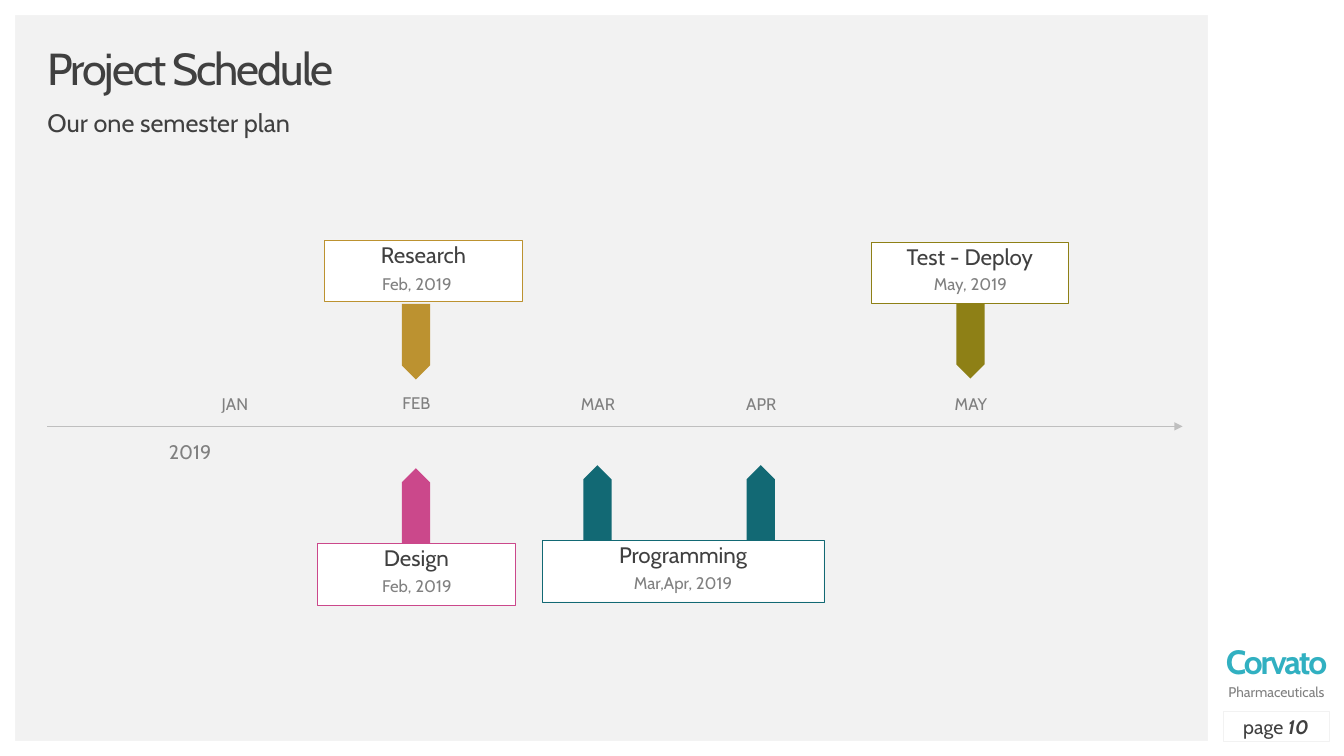
from dataclasses import dataclass

from lxml import etree
from pptx import Presentation
from pptx import util as u
from pptx.dml.color import RGBColor
from pptx.enum import shapes, text
from pptx.oxml import ns

TITLE = "Project Schedule"
SUBTITLE = "Our one semester plan"
YEAR = "2019"
BRAND = ("Corvato", "Pharmaceuticals")
PAGE_LABEL = ("page ", "10")

MONTHS = {
    "JAN": (233, 393),
    "FEB": (413, 392),
    "MAR": (593, 393),
    "APR": (755, 393),
    "MAY": (963, 393),
}

PHASES = [
    dict(name="Design", date="Feb, 2019", months=["FEB"], color="CB488B",
         box=(315, 539, 196), date_at=(321, 573), arrow_middle=502, turn=270),
    dict(name="Research", date="Feb, 2019", months=["FEB"], color="BC9230",
         box=(322, 238, 196), date_at=(321, 274), arrow_middle=339, turn=90),
    dict(name="Programming", date="Mar,Apr, 2019", months=["MAR", "APR"], color="126974",
         box=(538, 536, 279), date_at=(585, 570), arrow_middle=499, turn=270),
    dict(name="Test - Deploy", date="May, 2019", months=["MAY"], color="8E8016",
         box=(864, 240, 196), date_at=(870, 274), arrow_middle=338, turn=90),
]

WIDTH, HEIGHT = 1333, 750
BORDER, SIDEBAR = 15, 135
MARGIN = 47
AXIS_Y, AXIS_END = 423, 1173
BOX_HEIGHT = 61
ARROW = (75, 28)


@dataclass(frozen=True)
class Theme:
    font: str = "Cabin"
    ground: str = "F2F2F2"
    white: str = "FFFFFF"
    dark: str = "404040"
    gray: str = "808080"
    axis: str = "BFBFBF"
    accent: str = "31B0C1"
    title: int = 32
    brand: int = 24
    subtitle: int = 18
    phase: int = 16
    medium: int = 14
    small: int = 12
    tiny: int = 10
    hairline: float = 0.25


theme = Theme()


def px(length):
    return u.Emu(length * 9144)


def rgb(color):
    return RGBColor.from_string(color)


def add_span(para, words, size, color, bold=False, italic=False, spacing=0):
    span = para.add_run()
    span.text = words
    font = span.font
    font.name, font.size, font.bold, font.italic = theme.font, u.Pt(size), bold, italic
    font.color.rgb = rgb(color)
    if spacing:
        span._r.get_or_add_rPr().set("spc", str(spacing))


def start_para(box, align=text.PP_ALIGN.CENTER, anchor=text.MSO_ANCHOR.TOP, top=0, leading=0.9):
    frame = box.text_frame
    frame.word_wrap = True
    frame.auto_size = text.MSO_AUTO_SIZE.NONE
    frame.vertical_anchor = anchor
    frame.margin_left = frame.margin_right = frame.margin_bottom = 0
    frame.margin_top = px(top)
    para = frame.paragraphs[0]
    para.alignment = align
    para.line_spacing = leading
    para.space_before = u.Pt(0)
    return para


def add_shape(page, kind, area, fill=None, line=None):
    shape = page.shapes.add_shape(kind, *map(px, area))
    shape.shadow.inherit = False
    if fill:
        shape.fill.solid()
        shape.fill.fore_color.rgb = rgb(fill)
    else:
        shape.fill.background()
    if line:
        shape.line.color.rgb = rgb(line)
        shape.line.width = u.Pt(theme.hairline)
    else:
        shape.line.fill.background()
    return shape


def add_label(page, words, area, size, anchor=text.MSO_ANCHOR.TOP):
    box = page.shapes.add_textbox(*map(px, area))
    add_span(start_para(box, anchor=anchor), words, size, theme.gray)


def fill_placeholder(holder, words, area, size, anchor, spacing=0):
    holder.left, holder.top, holder.width, holder.height = map(px, area)
    para = start_para(holder, text.PP_ALIGN.LEFT, anchor)
    properties = para._p.get_or_add_pPr()
    properties.set("marL", "0")
    properties.set("indent", "0")
    etree.SubElement(properties, ns.qn("a:buNone"))
    add_span(para, words, size, theme.dark, spacing=spacing)


def add_frame(page):
    page.background.fill.solid()
    page.background.fill.fore_color.rgb = rgb(theme.ground)
    for area in [
        (0, 0, WIDTH, BORDER),
        (0, 0, BORDER, HEIGHT),
        (WIDTH - SIDEBAR, 0, SIDEBAR, HEIGHT),
        (0, HEIGHT - BORDER, WIDTH, BORDER),
    ]:
        add_shape(page, shapes.MSO_SHAPE.RECTANGLE, area, theme.white)


def add_brand(page):
    box = page.shapes.add_textbox(*map(px, (1207, 656, 118, 39)))
    para = start_para(box, leading=u.Pt(14))
    add_span(para, BRAND[0], theme.brand, theme.accent, bold=True, spacing=-150)
    para.add_line_break()
    add_span(para, BRAND[1], theme.tiny, theme.gray)

    box = add_shape(page, shapes.MSO_SHAPE.RECTANGLE, (1213, 706, 105, 29), line=theme.ground)
    para = start_para(box, anchor=text.MSO_ANCHOR.MIDDLE, leading=1.0)
    add_span(para, PAGE_LABEL[0], theme.medium, theme.dark)
    add_span(para, PAGE_LABEL[1], theme.medium, theme.dark, bold=True, italic=True)


def add_axis(page):
    axis = page.shapes.add_connector(
        shapes.MSO_CONNECTOR.STRAIGHT, px(MARGIN), px(AXIS_Y), px(AXIS_END), px(AXIS_Y))
    axis.line.color.rgb = rgb(theme.axis)
    axis.line.width = u.Pt(0.5)
    etree.SubElement(axis.line._get_or_add_ln(), ns.qn("a:tailEnd"), type="triangle")
    etree.SubElement(axis._element.spPr, ns.qn("a:effectLst"))
    for month, (center, top) in MONTHS.items():
        add_label(page, month, (center - 21, top, 42, 22), theme.small)
    add_label(page, YEAR, (166, 439, 45, 22), theme.medium, text.MSO_ANCHOR.MIDDLE)


def add_phase(page, phase):
    length, thickness = ARROW
    for month in phase["months"]:
        left = MONTHS[month][0] - (length + 1) // 2
        top = phase["arrow_middle"] - thickness // 2
        arrow = add_shape(page, shapes.MSO_SHAPE.PENTAGON, (left, top, *ARROW), phase["color"])
        arrow.rotation = phase["turn"]
    area = (*phase["box"], BOX_HEIGHT)
    box = add_shape(page, shapes.MSO_SHAPE.RECTANGLE, area, theme.white, phase["color"])
    add_span(start_para(box, top=4), phase["name"], theme.phase, theme.dark)
    add_label(page, phase["date"], (*phase["date_at"], 185, 25), theme.small)


def main():
    deck = Presentation()
    deck.slide_width, deck.slide_height = px(WIDTH), px(HEIGHT)
    page = deck.slides.add_slide(deck.slide_layouts[1])
    add_frame(page)
    fill_placeholder(page.shapes.title, TITLE, (MARGIN, 47, 1109, 47),
                     theme.title, text.MSO_ANCHOR.MIDDLE, -150)
    fill_placeholder(page.placeholders[1], SUBTITLE, (MARGIN, 110, 1109, 28),
                     theme.subtitle, text.MSO_ANCHOR.TOP)
    add_brand(page)
    add_axis(page)
    for phase in PHASES:
        add_phase(page, phase)
    deck.save("out.pptx")


if __name__ == "__main__":
    main()
